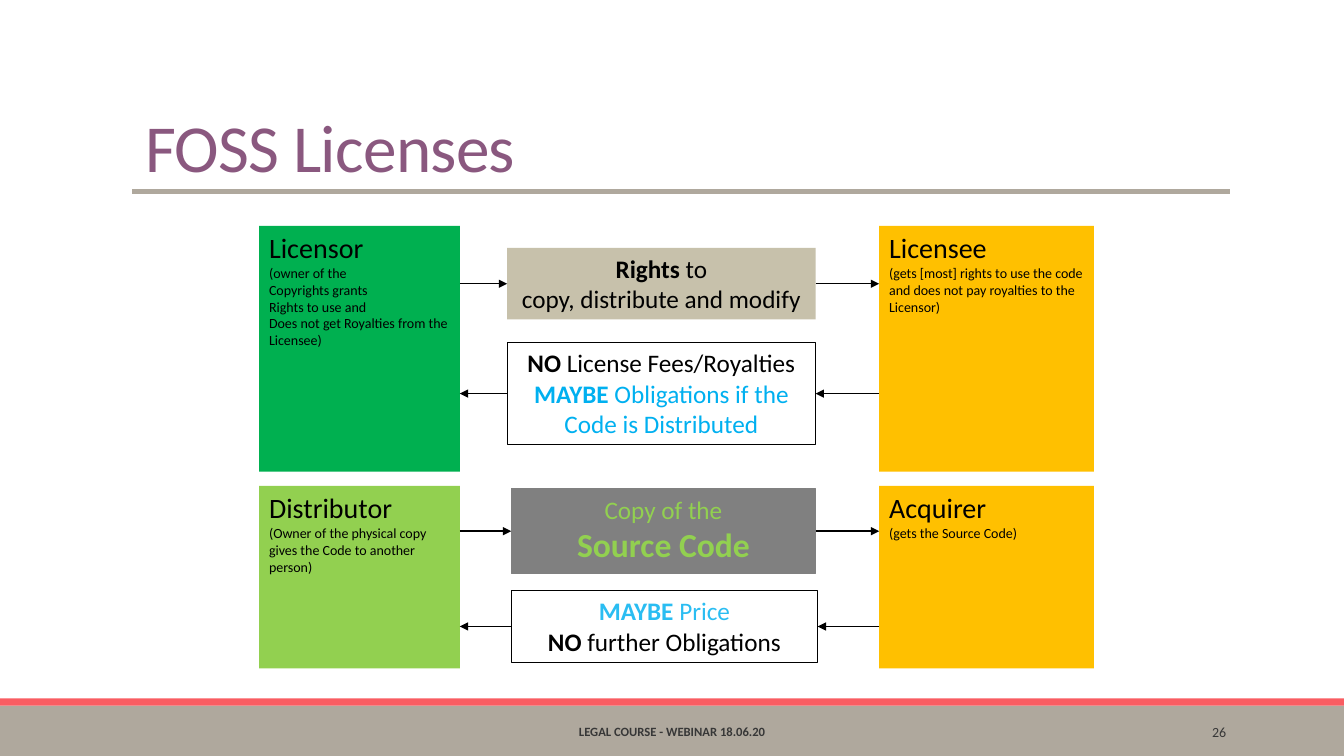
"""Build the FOSS Licenses slide: who grants what to whom."""
from dataclasses import dataclass

from lxml.etree import SubElement
from pptx import Presentation
from pptx.dml.color import RGBColor
from pptx.enum.shapes import MSO_CONNECTOR, MSO_SHAPE
from pptx.enum.text import MSO_ANCHOR, MSO_AUTO_SIZE, PP_ALIGN
from pptx.oxml.ns import qn
from pptx.util import Inches, Pt


@dataclass(frozen=True)
class Theme:
    """Font, colours and type sizes of the slide."""
    font: str = "Calibri"
    ink: str = "000000"
    title: str = "8A587F"
    footer: str = "373737"
    bar: str = "AFA89D"
    accent: str = "F95D62"
    green: str = "00B050"
    lime: str = "92D050"
    amber: str = "FFC000"
    sand: str = "C7C1AB"
    gray: str = "808080"
    blue: str = "00B0F0"
    sky: str = "2ABDF2"
    title_size: float = 48
    name_size: float = 20
    strong_size: float = 24
    flow_size: float = 18
    note_size: float = 10
    footer_size: float = 9
    arrow_width: float = 1
    border_width: float = 0.75
    rule_width: float = 3


@dataclass(frozen=True)
class Span:
    """A stretch of text in one style."""
    text: str
    size: float
    color: str = Theme.ink
    bold: bool = False


THEME = Theme()
LEFT_PARTY, LEFT_WIDTH = 2.57, 1.99
RIGHT_PARTY, RIGHT_WIDTH = 8.72, 2.13
LEFT_EDGE = LEFT_PARTY + LEFT_WIDTH
UPPER_ROW, LOWER_ROW = (2.24, 2.44), (4.82, 1.81)


def rgb(color):
    """Turn a hex string into a colour."""
    return RGBColor.from_string(color)


def style(font, size, color, bold=False):
    """Format a font with the theme's typeface."""
    font.name, font.size, font.bold = THEME.font, Pt(size), bold
    font.color.rgb = rgb(color)


def write_lines(frame, lines, align):
    """Write one paragraph for each list of spans."""
    frame.word_wrap = True
    for index, spans in enumerate(lines):
        para = frame.paragraphs[0] if index == 0 else frame.add_paragraph()
        para.alignment = align
        for span in spans:
            run = para.add_run()
            run.text = span.text
            style(run.font, span.size, span.color, span.bold)


def add_box(page, place, fill=None, border=None):
    """Add a flat rectangle with an optional fill and border."""
    box = page.shapes.add_shape(MSO_SHAPE.RECTANGLE, *map(Inches, place))
    box.shadow.inherit = False
    if fill:
        box.fill.solid()
        box.fill.fore_color.rgb = rgb(fill)
    else:
        box.fill.background()
    if border:
        box.line.color.rgb = rgb(border)
        box.line.width = Pt(THEME.border_width)
    else:
        box.line.fill.background()
    box.text_frame.vertical_anchor = MSO_ANCHOR.TOP
    return box


def add_line(page, start, end, color, width, arrow=False):
    """Add a straight line, with an arrowhead at its end if asked."""
    line = page.shapes.add_connector(
        MSO_CONNECTOR.STRAIGHT, *map(Inches, (*start, *end)))
    line.line.color.rgb = rgb(color)
    line.line.width = Pt(width)
    if arrow:
        SubElement(line.line._get_or_add_ln(), qn("a:tailEnd"), type="triangle")
    SubElement(line._element.spPr, qn("a:effectLst"))
    return line


def add_party(page, left, width, row, fill, name, notes):
    """Add a coloured party box with its name and explanation."""
    top, height = row
    box = add_box(page, (left, top, width, height), fill)
    lines = [[Span(name, THEME.name_size)]]
    lines += [[Span(note, THEME.note_size)] for note in notes]
    write_lines(box.text_frame, lines, PP_ALIGN.LEFT)


def add_flow(page, place, lines, forward, fill=None, border=None):
    """Add a flow box between two parties, with its two arrows."""
    box = add_box(page, place, fill, border)
    write_lines(box.text_frame, lines, PP_ALIGN.CENTER)
    left, top, width, height = place
    middle = top + height / 2
    left_gap = [(LEFT_EDGE, middle), (left, middle)]
    right_gap = [(left + width, middle), (RIGHT_PARTY, middle)]
    for gap, side, into_box in ((left_gap, 1, forward), (right_gap, 3, not forward)):
        start, end = gap if forward else gap[::-1]
        arrow = add_line(page, start, end, THEME.ink, THEME.arrow_width, True)
        join = arrow.end_connect if into_box else arrow.begin_connect
        join(box, side)


def add_title(page, text):
    """Place and format the title."""
    title = page.shapes.title
    title.left, title.top = Inches(1.34), Inches(0.31)
    title.width, title.height = Inches(7.08), Inches(1.59)
    frame = title.text_frame
    frame.text = text
    frame.auto_size = MSO_AUTO_SIZE.NONE
    frame.vertical_anchor = MSO_ANCHOR.BOTTOM
    para = frame.paragraphs[0]
    para.alignment, para.line_spacing = PP_ALIGN.LEFT, 0.85
    span = para.runs[0]
    style(span.font, THEME.title_size, THEME.title)
    span._r.get_or_add_rPr().set("spc", "-50")


def add_label(page, left, width, span, align):
    """Add a line of text on the footer bar."""
    box = page.shapes.add_textbox(*map(Inches, (left, 7.06, width, 0.4)))
    box.text_frame.vertical_anchor = MSO_ANCHOR.MIDDLE
    write_lines(box.text_frame, [[span]], align)


def add_frame(page):
    """Add the footer bars, the title rule and the footer texts."""
    add_box(page, (0, 7, 13.33, 0.5), THEME.bar)
    add_box(page, (0, 6.93, 13.33, 0.07), THEME.accent)
    add_line(page, (1.31, 1.9), (12.2, 1.9), THEME.bar, THEME.rule_width)
    add_label(page, 4.03, 5.27, Span("LEGAL COURSE - WEBINAR 18.06.20",
              THEME.footer_size, THEME.footer, True), PP_ALIGN.CENTER)
    add_label(page, 10.83, 1.43, Span("26", THEME.note_size, THEME.footer),
              PP_ALIGN.RIGHT)


def main():
    """Build and save the deck."""
    deck = Presentation()
    deck.slide_width, deck.slide_height = Inches(13.33), Inches(7.5)
    page = deck.slides.add_slide(deck.slide_layouts[5])
    add_frame(page)
    add_title(page, "FOSS Licenses")

    add_party(page, LEFT_PARTY, LEFT_WIDTH, UPPER_ROW, THEME.green, "Licensor",
              ["(owner of the", "Copyrights grants", "Rights to use and",
               "Does not get Royalties from the Licensee)"])
    add_party(page, RIGHT_PARTY, RIGHT_WIDTH, UPPER_ROW, THEME.amber, "Licensee",
              ["(gets [most] rights to use the code and does not pay "
               "royalties to the Licensor)"])
    add_party(page, LEFT_PARTY, LEFT_WIDTH, LOWER_ROW, THEME.lime, "Distributor",
              ["(Owner of the physical copy", "gives the Code to another person)"])
    add_party(page, RIGHT_PARTY, RIGHT_WIDTH, LOWER_ROW, THEME.amber, "Acquirer",
              ["(gets the Source Code)"])

    size = THEME.flow_size
    add_flow(page, (5.03, 2.46, 3.06, 0.71), [
        [Span("Rights ", size, bold=True), Span("to", size)],
        [Span("copy, distribute and modify", size)]], True, THEME.sand)
    add_flow(page, (5.03, 3.4, 3.06, 1.01), [
        [Span("NO ", size, bold=True), Span("License Fees/Royalties", size)],
        [Span("MAYBE ", size, THEME.blue, True),
         Span("Obligations if the Code is Distributed", size, THEME.blue)],
    ], False, border=THEME.ink)
    add_flow(page, (5.07, 4.85, 3.02, 0.84), [
        [Span("Copy of the", size, THEME.lime)],
        [Span("Source Code", THEME.strong_size, THEME.lime, True)],
    ], True, THEME.gray, THEME.gray)
    add_flow(page, (5.07, 5.86, 3.04, 0.71), [
        [Span("MAYBE", size, THEME.sky, True), Span(" Price", size, THEME.sky)],
        [Span("NO ", size, bold=True), Span("further Obligations", size)],
    ], False, border=THEME.ink)
    deck.save("out.pptx")


if __name__ == "__main__":
    main()
